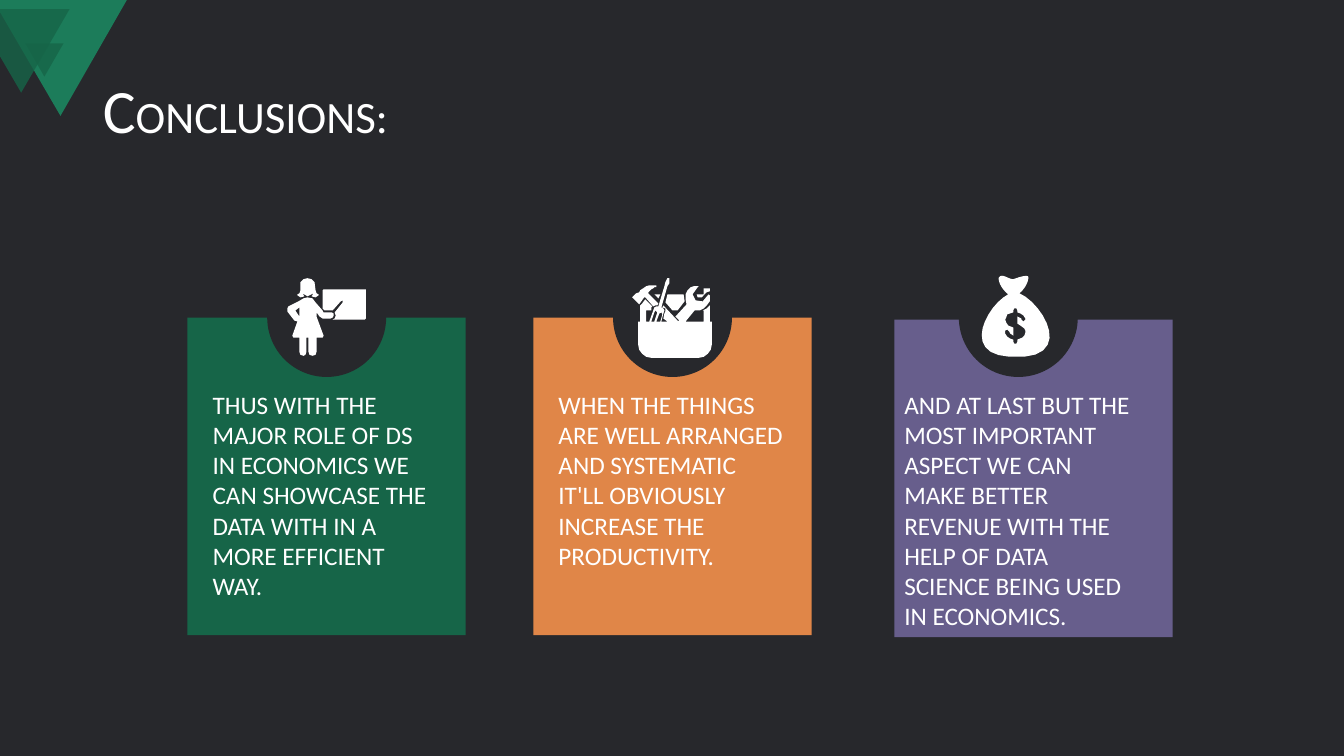
from lxml.etree import SubElement
from pptx import Presentation as Deck
from pptx.dml.color import RGBColor as RGB
from pptx.enum.shapes import MSO_SHAPE as Kind
from pptx.enum.text import MSO_ANCHOR as Anchor, MSO_AUTO_SIZE as Fit, PP_ALIGN as Align
from pptx.oxml.ns import qn
from pptx.util import Inches, Pt

COLORS = {"dark": "27282C", "mint": "1C7C5A", "green": "166548",
          "orange": "E08648", "violet": "675E8C", "white": "FFFFFF"}


def pairs(text):
    """Turn 'x y x y' in hundredths of an inch into points."""
    nums = [int(n) for n in text.split()]
    return list(zip(nums[::2], nums[1::2]))


def bend(text, steps=12):
    """Sample a chain of cubic curves into points."""
    pts = pairs(text)
    out = [pts[0]]
    for i in range(0, len(pts) - 1, 3):
        a, b, c, d = pts[i:i + 4]
        for k in range(1, steps + 1):
            t = k / steps
            u = 1 - t
            out.append(tuple(u**3 * p + 3*u*u*t * q + 3*u*t*t * r + t**3 * s
                             for p, q, r, s in zip(a, b, c, d)))
    return out


class Page:
    font = "Calibri"

    def __init__(self, deck):
        self.slide = deck.slides.add_slide(deck.slide_layouts[5])
        self.shapes = self.slide.shapes
        fill = self.slide.background.fill
        fill.solid()
        fill.fore_color.rgb = self.rgb("dark")

    def rgb(self, name):
        return RGB.from_string(COLORS[name])

    def paint(self, shape, color, alpha=100):
        shape.shadow.inherit = False
        shape.fill.solid()
        shape.fill.fore_color.rgb = self.rgb(color)
        shape.line.fill.background()
        if alpha < 100:
            tone = shape.fill._xPr.find(qn("a:solidFill"))[0]
            SubElement(tone, qn("a:alpha"), val=str(alpha * 1000))
        return shape

    def block(self, kind, x, y, w, h, color, alpha=100):
        shape = self.shapes.add_shape(kind, *map(Inches, (x, y, w, h)))
        return self.paint(shape, color, alpha)

    def form(self, loops, color, alpha=100):
        """Draw closed outlines; inner loops are holes."""
        pen = None
        for loop in loops:
            pts = [(round(x * 10), round(y * 10)) for x, y in loop]
            if pen is None:
                pen = self.shapes.build_freeform(*pts[0], scale=Inches(1) / 1000)
            else:
                pen.move_to(*pts[0])
            pen.add_line_segments(pts[1:], close=True)
        return self.paint(pen.convert_to_shape(), color, alpha)

    def run(self, para, text, size):
        run = para.add_run()
        run.text = text
        run.font.name = self.font
        run.font.size = Pt(size)
        run.font.color.rgb = self.rgb("white")

    def title(self, parts):
        box = self.shapes.title
        box.left, box.top, box.width, box.height = map(Inches, (0.92, 0.4, 11.5, 1.45))
        frame = box.text_frame
        frame.vertical_anchor = Anchor.MIDDLE
        para = frame.paragraphs[0]
        para.alignment = Align.LEFT
        para.line_spacing = 0.9
        for text, size in parts:
            self.run(para, text, size)

    def text(self, x, y, w, h, text, size=18):
        frame = self.shapes.add_textbox(*map(Inches, (x, y, w, h))).text_frame
        frame.word_wrap = True
        frame.auto_size = Fit.SHAPE_TO_FIT_TEXT
        self.run(frame.paragraphs[0], text, size)


# Icons: each is a list of forms, each form a list of loops
BOARD = """328 308 330 308 338 299 340 298 340 300 332 310 333 313 332 316 330 317
    362 317 363 316 363 287 321 287 320 288 320 306 322 308"""
BODY = """292 318 295 319 290 333 291 335 297 335 297 349 298 352 301 353 303 352
    304 349 304 335 306 335 306 349 307 352 310 353 313 352 314 349 314 335 320 335
    321 333 314 314 314 310 317 314 320 316 328 316 330 315 331 313 331 311 329 310
    321 310 320 308 313 300 310 296 305 295 301 296 296 299 286 304 285 306 285 309"""
ARM = "297 305 297 314 293 308"
HAIR = """316 292 314 291 313 288 312 280 309 277 305 276 301 277 298 280 298 288
    297 291 295 292 295 293 298 295 302 294 300 291 305 294 311 291 309 294
    313 295 316 293"""
HAMMER = """639 295 640 295 648 304 650 303 652 303 653 301 643 291 643 290 644 289
    646 287 648 286 649 285 651 285 651 283 648 283 644 283 641 284 638 286 635 288
    634 290 631 291 627 295 634 302"""
PLATE = "692 295 696 295 701 290 704 289 704 286 698 286 698 292 691 292"
CORNER = "653 296 655 292 649 292"
CHEST = """704 319 704 303 701 306 697 308 698 308 698 319 680 319 689 308 694 308
    698 306 701 303 704 299 704 293 703 292 702 293 697 299 690 298 687 292
    692 285 693 284 688 284 685 285 682 288 680 292 680 297 681 302 670 314 673 317
    674 319 672 318 658 303 657 305 660 306 660 309 659 311 658 316 662 319 656 319
    658 311 659 308 658 306 656 305 662 284 664 281 664 276 662 276 660 280 659 284
    653 304 651 304 649 305 648 308 644 319 641 319 641 308 646 308 646 305 647 304
    640 297 637 301 635 303 635 319 633 319 633 342 634 347 637 351 641 354 646 355
    693 355 698 354 702 351 705 347 706 342 706 319"""
FORK = "654 311 656 310 657 312 655 319 651 319"
TINE = "649 310 650 308 652 310 649 319 646 319"
PANEL = "662 292 660 300 667 308 672 308 679 299 678 292"
SACK = """1011 291 1018 286 1022 274 1019 274 1016 273 1008 276 1005 277
    1000 277 994 271 991 275 989 277 993 287 1000 292
    980 302 952 351 1001 354 1069 359 1035 301 1011 291"""
COIN = """1017 330 1016 333 1014 335 1009 337 1009 339 1008 341 1006 341 1005 339
    1005 337 1002 336 999 334 997 331 997 328 999 327 1001 329 1002 331 1005 333
    1005 325 1000 323 998 320 997 317 998 315 999 312 1002 311 1005 310 1005 308
    1006 306 1008 306 1009 308 1009 310 1012 311 1015 313 1017 316 1017 317 1015 319
    1013 317 1013 316 1011 315 1009 314 1009 321 1012 323 1016 326 1017 328"""

TEACHER = [[pairs(BOARD)], [pairs(BODY), pairs(ARM)], [pairs(HAIR)]]
TOOLS = [[pairs(HAMMER)], [pairs(PLATE)], [pairs(CORNER)],
         [pairs(CHEST), pairs(FORK), pairs(TINE)], [pairs(PANEL)]]
MONEY = [[bend(SACK), pairs(COIN)]]

# Card left and top, colour, disc left, text left, text height, icon, text
CARDS = [
    (1.86, 3.15, "green", 2.65, 2.01, 1.92, TEACHER,
     "THUS WITH THE MAJOR ROLE OF DS IN ECONOMICS WE CAN SHOWCASE THE DATA "
     "WITH IN A MORE EFFICIENT WAY."),
    (5.29, 3.15, "orange", 6.08, 5.44, 1.92, TOOLS,
     "WHEN THE THINGS ARE WELL ARRANGED AND SYSTEMATIC IT'LL OBVIOUSLY "
     "INCREASE THE PRODUCTIVITY."),
    (8.87, 3.17, "violet", 9.51, 8.87, 2.52, MONEY,
     "AND AT LAST BUT THE MOST IMPORTANT ASPECT WE CAN MAKE BETTER REVENUE "
     "WITH THE HELP OF DATA SCIENCE BEING USED IN ECONOMICS."),
]


def main():
    deck = Deck()
    deck.slide_width, deck.slide_height = Inches(13.33), Inches(7.5)
    page = Page(deck)

    # Corner triangles
    page.form([pairs("0 -2 127 -2 60 115 0 12")], "mint")
    page.block(Kind.ISOSCELES_TRIANGLE, 0.25, 0.43, 0.38, 0.33, "green", 80).rotation = 180
    page.form([pairs("0 9 69 9 21 92 0 56")], "green", 80)

    # Title
    page.title([("C", 44), ("ONCLUSIONS:", 32)])

    # Cards with icon and text
    for left, top, color, disc, edge, high, icon, words in CARDS:
        page.block(Kind.RECTANGLE, left, top, 2.76, 3.15, color)
        page.block(Kind.OVAL, disc, 2.56, 1.18, 1.18, "dark")
        for loops in icon:
            page.form(loops, "white")
        page.text(edge, 3.81, 2.45, high, words)

    deck.save("out.pptx")


if __name__ == "__main__":
    main()
